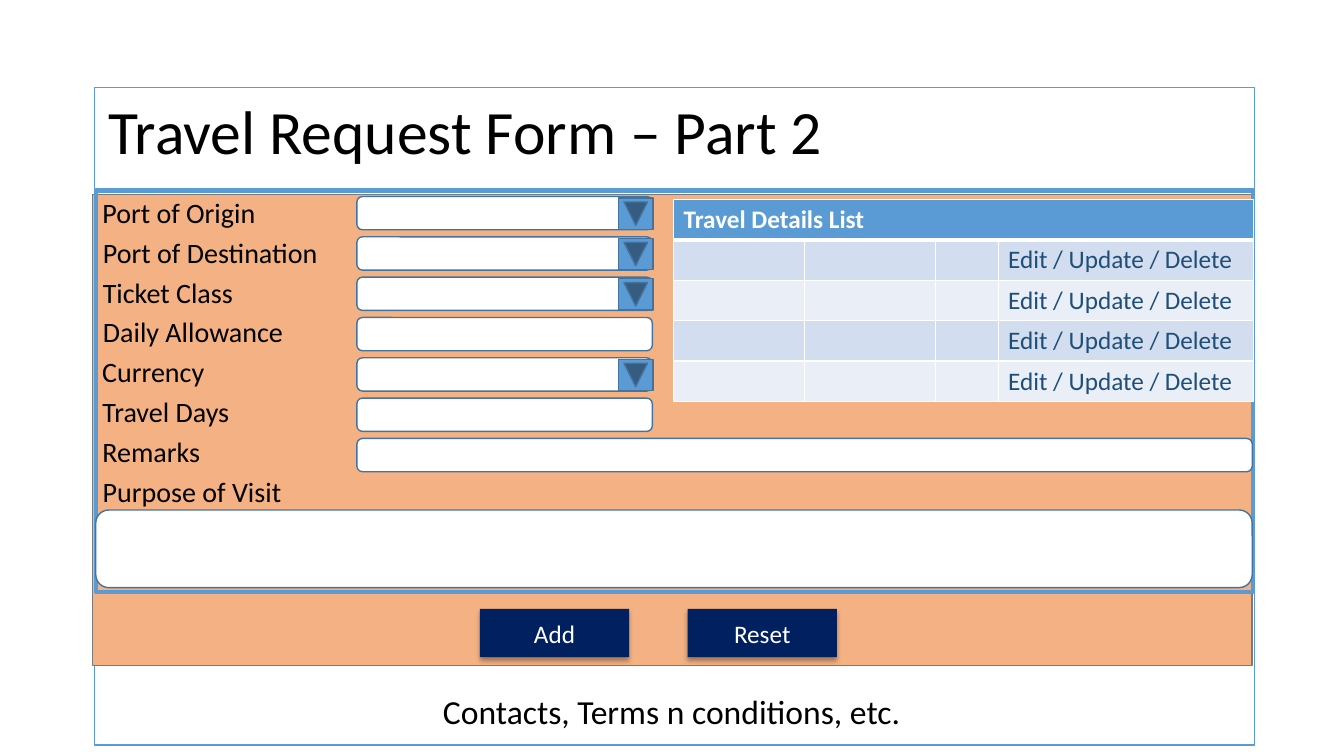
from lxml import etree
from pptx import Presentation
from pptx.dml.color import RGBColor
from pptx.enum.shapes import MSO_SHAPE
from pptx.enum.text import MSO_ANCHOR, MSO_AUTO_SIZE, PP_ALIGN
from pptx.oxml.ns import qn
from pptx.util import Inches, Pt

RECT, ROUND = MSO_SHAPE.RECTANGLE, MSO_SHAPE.ROUNDED_RECTANGLE
ARROW = MSO_SHAPE.ACTION_BUTTON_FORWARD_OR_NEXT
CENTER, MIDDLE = PP_ALIGN.CENTER, MSO_ANCHOR.MIDDLE
GROW = MSO_AUTO_SIZE.SHAPE_TO_FIT_TEXT

WHITE = RGBColor(0xFF, 0xFF, 0xFF)
BLACK = RGBColor(0, 0, 0)
BLUE = RGBColor(0x5B, 0x9B, 0xD5)
EDGE = RGBColor(0x43, 0x73, 0x9E)
PEACH = RGBColor(0xF4, 0xB1, 0x83)
GREY = RGBColor(0x7A, 0x7A, 0x7A)
NAVY = RGBColor(0x00, 0x20, 0x60)
LINK = RGBColor(0x1F, 0x4E, 0x79)
BANDS = RGBColor(0xD2, 0xDE, 0xEF), RGBColor(0xEA, 0xEF, 0xF7)

FONT = "Calibri"
ROW = 0.4    # pitch of fields and table rows
STEP = 0.395  # pitch of labels
FIELD = 0.33  # height of one field

# label, width of its text box, has a drop-down arrow
FIELDS = [
    ("Port of Origin", 1.73, True),
    ("Port of Destination", 2.35, True),
    ("Ticket Class", 1.51, True),
    ("Daily Allowance", 2.01, False),
    ("Currency", 1.22, True),
    ("Travel Days", 1.47, False),
    ("Remarks", 1.18, False),
    ("Purpose of Visit", 1.99, False),
]


def add_run(para, text, size, color, bold=False):
    """Add one styled run to a paragraph."""
    run = para.add_run()
    run.text = text
    font = run.font
    font.name, font.size, font.bold = FONT, Pt(size), bold
    font.color.rgb = color


def add_box(slide, kind, box, fill=None, line=None, width=1):
    """Add a flat preset shape; no colour means no fill or no line."""
    shape = slide.shapes.add_shape(kind, *map(Inches, box))
    shape.shadow.inherit = False
    if fill is None:
        shape.fill.background()
    else:
        shape.fill.solid()
        shape.fill.fore_color.rgb = fill
    if line is None:
        shape.line.fill.background()
    else:
        shape.line.color.rgb = line
        shape.line.width = Pt(width)
    return shape


def add_text(slide, box, text, size, wrap=False):
    """Add a centred line of black text."""
    frame = slide.shapes.add_textbox(*map(Inches, box)).text_frame
    frame.word_wrap, frame.auto_size = wrap, GROW
    para = frame.paragraphs[0]
    para.alignment = CENTER
    add_run(para, text, size, BLACK)


def draw_page(slide, box):
    """Draw the page frame, peach panel, footer and title."""
    x, y, w, h = box
    add_box(slide, RECT, box, WHITE, BLUE)
    add_box(slide, RECT, (x - 0.02, y + 1.06, w, 4.67), PEACH, GREY)
    add_text(slide, (x - 0.04, y + h - 0.58, w + 0.02, 0.5),
             "Contacts, Terms n conditions, etc.", 24, True)
    add_text(slide, (x, y, 7.36, 0.84), "Travel Request Form – Part 2", 44)


def draw_form(slide, box):
    """Draw labels, the heavy frame, fields and drop-down arrows."""
    x, y, w, h = box
    left, top = x + 2.59, y + 0.06
    short, long = 2.93, w - 2.6
    for i, (label, wide, _) in enumerate(FIELDS):
        add_text(slide, (x - 0.04, y + i * STEP, wide, 0.44), label, 20)
    add_box(slide, RECT, box, line=BLUE, width=3)
    last = len(FIELDS) - 2
    for i in range(last + 1):
        wide = long if i == last else short
        add_box(slide, ROUND, (left, top + i * ROW, wide, FIELD), WHITE, EDGE)
    add_box(slide, ROUND, (x, y + h - 0.81, w - 0.01, 0.77), WHITE, EDGE)
    for i, (_, _, drop) in enumerate(FIELDS):
        if drop:
            spot = left + short - 0.32, top + i * ROW, 0.31, 0.34
            add_box(slide, ARROW, spot, BLUE, EDGE).rotation = 90


def draw_keys(slide, box):
    """Draw two shadowed buttons at the ends of the box."""
    x, y, w, h = box
    wide = 1.48
    for left, text in ((x, "Add"), (x + w - wide, "Reset")):
        key = add_box(slide, RECT, (left, y, wide, h), NAVY)
        glow = etree.SubElement(
            key._element.spPr.find(qn("a:effectLst")), qn("a:outerShdw"),
            blurRad=str(Pt(3.5)), dist=str(Pt(2.2)), dir="5400000",
            algn="t", rotWithShape="0")
        tint = etree.SubElement(glow, qn("a:srgbClr"), val="000000")
        etree.SubElement(tint, qn("a:alpha"), val="32000")
        frame = key.text_frame
        frame.vertical_anchor = MIDDLE
        para = frame.paragraphs[0]
        para.alignment = CENTER
        add_run(para, text, 18, WHITE)


def style_cell(cell, color, base=1):
    """Fill a cell and give it white borders, the lower one base points."""
    cell.fill.solid()
    cell.fill.fore_color.rgb = color
    props = cell._tc.get_or_add_tcPr()
    for i, side in enumerate("LRTB"):
        line = etree.Element(qn("a:ln" + side),
                             w=str(Pt(base if side == "B" else 1)))
        fill = etree.SubElement(line, qn("a:solidFill"))
        etree.SubElement(fill, qn("a:srgbClr"), val=str(WHITE))
        props.insert(i, line)


def draw_list(slide, box):
    """Draw the travel list: a merged header over banded rows."""
    rows, cols = 5, (1.3, 1.3, 0.62, 2.53)
    end = len(cols) - 1
    table = slide.shapes.add_table(rows, len(cols), *map(Inches, box)).table
    for col, wide in zip(table.columns, cols):
        col.width = Inches(wide)
    for r, row in enumerate(table.rows):
        row.height = Inches(ROW)
        for cell in row.cells:
            if r:
                style_cell(cell, BANDS[(r - 1) % 2])
            else:
                style_cell(cell, BLUE, 3)
        if r:
            add_run(table.cell(r, end).text_frame.paragraphs[0],
                    "Edit / Update / Delete", 18, LINK)
    head = table.cell(0, 0)
    head.merge(table.cell(0, end))
    add_run(head.text_frame.paragraphs[0], "Travel Details List", 18,
            WHITE, True)


deck = Presentation()
deck.slide_width, deck.slide_height = Inches(13.33), Inches(7.5)
page = deck.slides.add_slide(deck.slide_layouts[6])
draw_page(page, (0.94, 0.87, 11.5, 6.52))
draw_form(page, (0.95, 1.89, 11.48, 3.98))
draw_keys(page, (4.76, 6.04, 3.54, 0.48))
draw_list(page, (6.68, 1.98, 5.74, 2))
deck.save("out.pptx")
